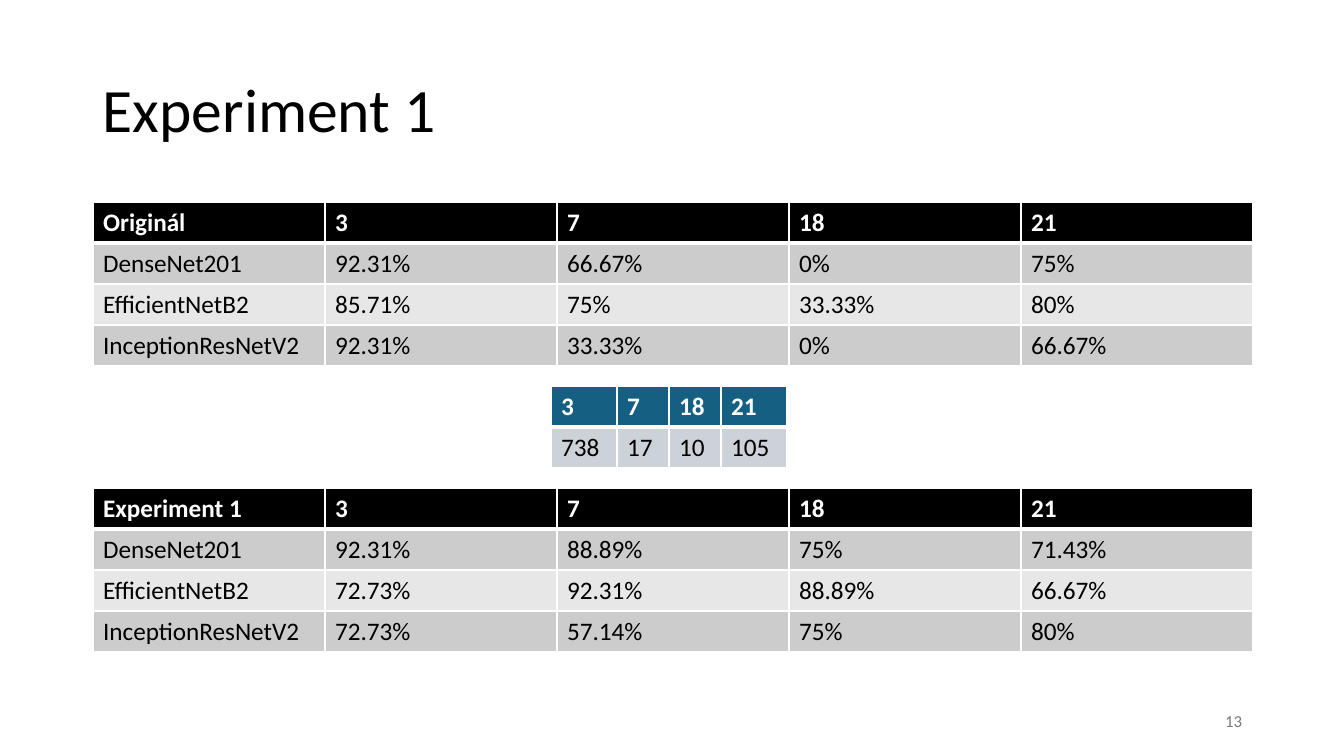
"""Build the Experiment 1 slide with its two accuracy tables and a count table."""
from dataclasses import dataclass

from lxml.etree import SubElement
from pptx import Presentation
from pptx.dml.color import RGBColor
from pptx.enum.text import MSO_ANCHOR, PP_ALIGN
from pptx.oxml.ns import qn
from pptx.slide import Slide
from pptx.table import _Cell
from pptx.text.text import TextFrame
from pptx.util import Emu, Pt

FONT = "Calibri"
WHITE = RGBColor(0xFF, 0xFF, 0xFF)
BLACK = RGBColor(0x00, 0x00, 0x00)
GRAY = RGBColor(0x79, 0x79, 0x79)
BLUE = RGBColor(0x15, 0x60, 0x82)
DARK_BAND = RGBColor(0xCC, 0xCC, 0xCC)
LIGHT_BAND = RGBColor(0xE7, 0xE7, 0xE7)
BLUE_BAND = RGBColor(0xCC, 0xD2, 0xD8)

MODELS = ["DenseNet201", "EfficientNetB2", "InceptionResNetV2"]
CLASSES = ["3", "7", "18", "21"]
ORIGINAL = [
    ["92.31%", "66.67%", "0%", "75%"],
    ["85.71%", "75%", "33.33%", "80%"],
    ["92.31%", "33.33%", "0%", "66.67%"],
]
EXPERIMENT = [
    ["92.31%", "88.89%", "75%", "71.43%"],
    ["72.73%", "92.31%", "88.89%", "66.67%"],
    ["72.73%", "57.14%", "75%", "80%"],
]


@dataclass
class Grid:
    """A table with a header row and banded body rows."""
    left: int
    top: int
    cols: list[int]
    rows: list[list[str]]
    header: RGBColor = BLACK
    bands: tuple[RGBColor, ...] = (DARK_BAND, LIGHT_BAND)
    row_height: int = 41


def px(n: int) -> Emu:
    """Turn pixels into EMU."""
    return Emu(round(n * 914400 / 100.8))


def write(tf: TextFrame, text: str, *, size: int = 18, color: RGBColor = BLACK,
          bold: bool = False, align: PP_ALIGN = PP_ALIGN.LEFT,
          spacing: float = 1.0) -> None:
    """Put one formatted paragraph into a text frame."""
    p = tf.paragraphs[0]
    p.alignment = align
    p.line_spacing = spacing
    r = p.add_run()
    r.text = text
    r.font.name = FONT
    r.font.size = Pt(size)
    r.font.bold = bold
    r.font.color.rgb = color


def add_text(s: Slide, left: int, top: int, width: int, height: int,
             text: str, **fmt) -> None:
    """Add a wrapped text box with its text centred vertically."""
    tf = s.shapes.add_textbox(px(left), px(top), px(width), px(height)).text_frame
    tf.word_wrap = True
    tf.vertical_anchor = MSO_ANCHOR.MIDDLE
    write(tf, text, **fmt)


def set_borders(cell: _Cell, top: int, bottom: int) -> None:
    """Draw white cell borders, one point wide at the sides."""
    tc_pr = cell._tc.get_or_add_tcPr()
    for side, width in (("L", 1), ("R", 1), ("T", top), ("B", bottom)):
        ln = SubElement(tc_pr, qn(f"a:ln{side}"), w=str(Pt(width)))
        fill = SubElement(ln, qn("a:solidFill"))
        SubElement(fill, qn("a:srgbClr"), val=str(WHITE))


def add_grid(s: Slide, grid: Grid) -> None:
    """Add a table with a bold header and a thick rule below it."""
    table = s.shapes.add_table(
        len(grid.rows), len(grid.cols), px(grid.left), px(grid.top),
        px(sum(grid.cols)), px(grid.row_height * len(grid.rows))).table
    for col, width in zip(table.columns, grid.cols):
        col.width = px(width)
    for i, row in enumerate(grid.rows):
        head = i == 0
        for j, text in enumerate(row):
            cell = table.cell(i, j)
            set_borders(cell, top=3 if i == 1 else 1, bottom=3 if head else 1)
            cell.fill.solid()
            cell.fill.fore_color.rgb = (
                grid.header if head else grid.bands[(i - 1) % len(grid.bands)])
            write(cell.text_frame, text, color=WHITE if head else BLACK, bold=head)


def accuracy_grid(top: int, name: str, values: list[list[str]]) -> Grid:
    """Describe a table of accuracy per model and class."""
    body = [[model, *row] for model, row in zip(MODELS, values)]
    return Grid(93, top, [232] * 5, [[name, *CLASSES], *body])


def main() -> None:
    """Build and save the slide."""
    prs = Presentation()
    prs.slide_width, prs.slide_height = px(1344), px(756)
    s = prs.slides.add_slide(prs.slide_layouts[6])
    add_text(s, 93, 40, 1159, 146, "Experiment 1", size=44, spacing=0.9)
    counts = Grid(551, 386, [66, 52, 52, 66],
                  [CLASSES, ["738", "17", "10", "105"]], BLUE, (BLUE_BAND,))
    for grid in (accuracy_grid(202, "Originál", ORIGINAL),
                 accuracy_grid(488, "Experiment 1", EXPERIMENT), counts):
        add_grid(s, grid)
    add_text(s, 950, 701, 302, 40, "13", size=12, color=GRAY, align=PP_ALIGN.RIGHT)
    prs.save("out.pptx")


if __name__ == "__main__":
    main()
